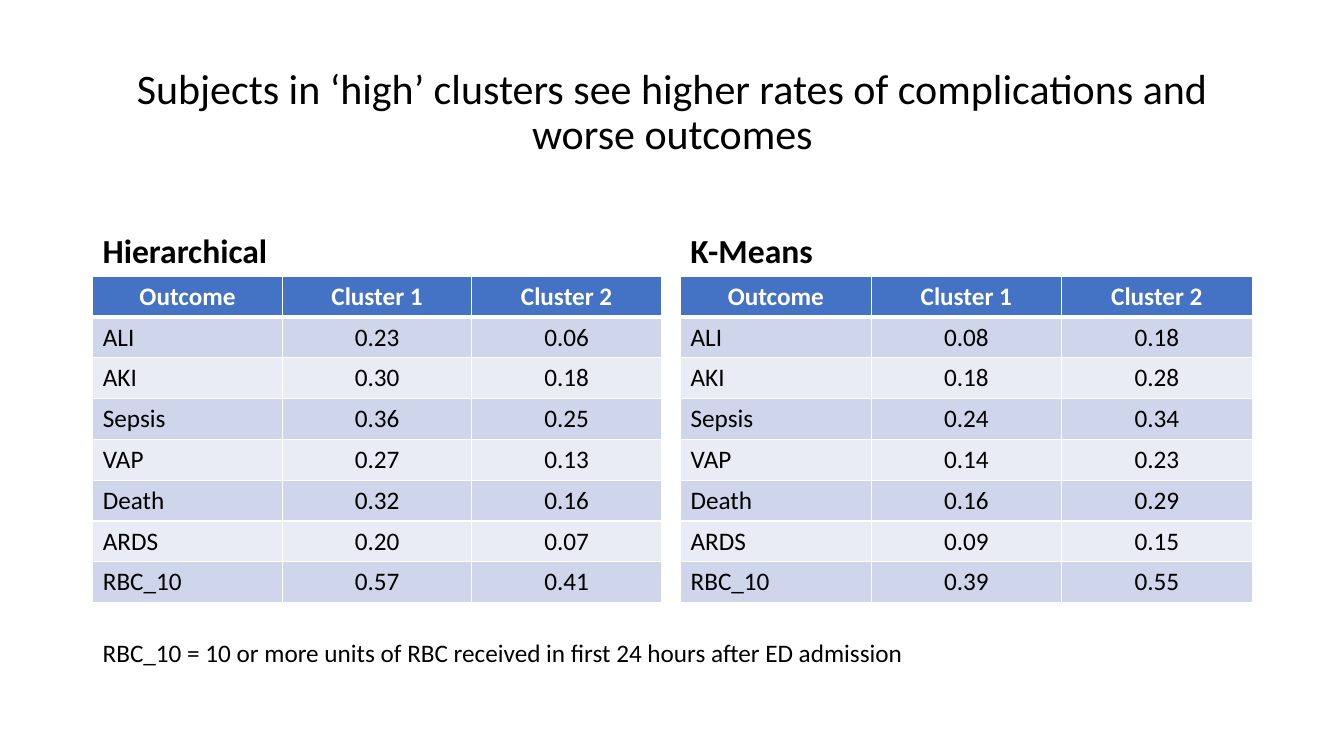
from dataclasses import dataclass

from lxml import etree
from pptx import Presentation
from pptx.dml.color import RGBColor
from pptx.enum.text import MSO_ANCHOR, PP_ALIGN
from pptx.oxml.ns import qn
from pptx.util import Inches, Pt

LEFT, CENTER = PP_ALIGN.LEFT, PP_ALIGN.CENTER
TOP, MIDDLE, BOTTOM = MSO_ANCHOR.TOP, MSO_ANCHOR.MIDDLE, MSO_ANCHOR.BOTTOM

FONT = "Calibri"
BLACK, WHITE = "000000", "FFFFFF"
HEADER_FILL = "4472C4"
BAND_FILLS = ("CFD5EA", "E9EBF5")
HEADERS = ("Outcome", "Cluster 1", "Cluster 2")
OUTCOMES = ("ALI", "AKI", "Sepsis", "VAP", "Death", "ARDS", "RBC_10")
MARGIN, FULL_WIDTH = 0.92, 11.5
HEADING_TOP, HEADING_HEIGHT = 1.84, 0.9
TABLE_TOP, TABLE_HEIGHT = 2.74, 3.24


@dataclass
class Label:
    text: str
    left: float
    top: float
    width: float
    height: float
    size: int
    bold: bool = False
    align: PP_ALIGN = LEFT
    anchor: MSO_ANCHOR = TOP
    line_spacing: float = 1.0


@dataclass
class ClusterTable:
    heading: str
    left: float
    width: float
    rates: list[tuple[str, str]]


CLUSTER_TABLES = [
    ClusterTable("Hierarchical", MARGIN, 5.64, [
        ("0.23", "0.06"), ("0.30", "0.18"), ("0.36", "0.25"), ("0.27", "0.13"),
        ("0.32", "0.16"), ("0.20", "0.07"), ("0.57", "0.41")]),
    ClusterTable("K-Means", 6.75, 5.67, [
        ("0.08", "0.18"), ("0.18", "0.28"), ("0.24", "0.34"), ("0.14", "0.23"),
        ("0.16", "0.29"), ("0.09", "0.15"), ("0.39", "0.55")]),
]

LABELS = [
    Label("Subjects in ‘high’ clusters see higher rates of complications and worse outcomes",
          MARGIN, 0.4, FULL_WIDTH, 1.45, 30,
          align=CENTER, anchor=MIDDLE, line_spacing=0.9),
    Label("RBC_10 = 10 or more units of RBC received in first 24 hours after ED admission",
          MARGIN, 6.27, FULL_WIDTH, 0.4, 18),
]


def color(value: str) -> RGBColor:
    return RGBColor.from_string(value)


def format_text(frame, size: int, hue: str, bold: bool, align: PP_ALIGN) -> None:
    para = frame.paragraphs[0]
    para.alignment = align
    font = para.runs[0].font
    font.name, font.size, font.bold = FONT, Pt(size), bold
    font.color.rgb = color(hue)


def add_label(slide, label: Label) -> None:
    box = slide.shapes.add_textbox(Inches(label.left), Inches(label.top),
                                   Inches(label.width), Inches(label.height))
    frame = box.text_frame
    frame.word_wrap = True
    frame.vertical_anchor = label.anchor
    frame.text = label.text
    frame.paragraphs[0].line_spacing = label.line_spacing
    format_text(frame, label.size, BLACK, label.bold, label.align)


def add_border(cell, side: str, points: float) -> None:
    properties = cell._tc.get_or_add_tcPr()
    line = etree.SubElement(properties, qn(f"a:{side}"), w=str(Pt(points)))
    fill = etree.SubElement(line, qn("a:solidFill"))
    etree.SubElement(fill, qn("a:srgbClr"), val=WHITE)


def format_cell(cell, row: int, column: int) -> None:
    is_header = row == 0
    # The rule under the header is thicker than the rest
    widths = {"lnL": 1, "lnR": 1, "lnT": 3 if row == 1 else 1, "lnB": 3 if is_header else 1}
    for side, points in widths.items():
        add_border(cell, side, points)
    cell.fill.solid()
    cell.fill.fore_color.rgb = color(HEADER_FILL if is_header else BAND_FILLS[(row - 1) % 2])
    align = CENTER if is_header or column > 0 else LEFT
    format_text(cell.text_frame, 18, WHITE if is_header else BLACK, is_header, align)


def add_cluster_table(slide, data: ClusterTable) -> None:
    add_label(slide, Label(data.heading, data.left, HEADING_TOP, data.width, HEADING_HEIGHT,
                           24, bold=True, anchor=BOTTOM, line_spacing=0.9))
    rows = [HEADERS] + [(name, *pair) for name, pair in zip(OUTCOMES, data.rates)]
    table = slide.shapes.add_table(len(rows), len(HEADERS), Inches(data.left), Inches(TABLE_TOP),
                                   Inches(data.width), Inches(TABLE_HEIGHT)).table
    for row, values in enumerate(rows):
        for column, value in enumerate(values):
            cell = table.cell(row, column)
            cell.text_frame.text = value
            format_cell(cell, row, column)


def main() -> None:
    deck = Presentation()
    deck.slide_width, deck.slide_height = Inches(13.33), Inches(7.5)
    page = deck.slides.add_slide(deck.slide_layouts[6])

    # Title and footnote
    for label in LABELS:
        add_label(page, label)

    # Side-by-side outcome tables
    for data in CLUSTER_TABLES:
        add_cluster_table(page, data)

    deck.save("out.pptx")


if __name__ == "__main__":
    main()
